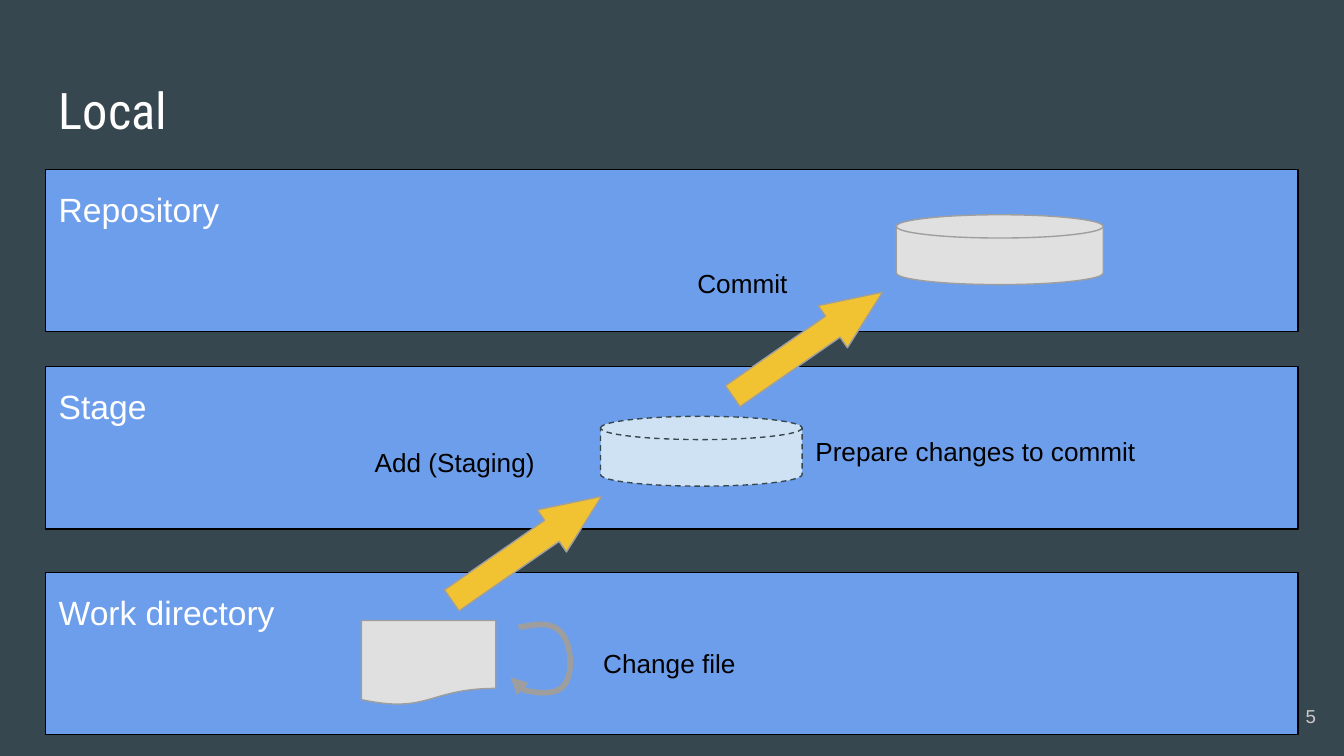
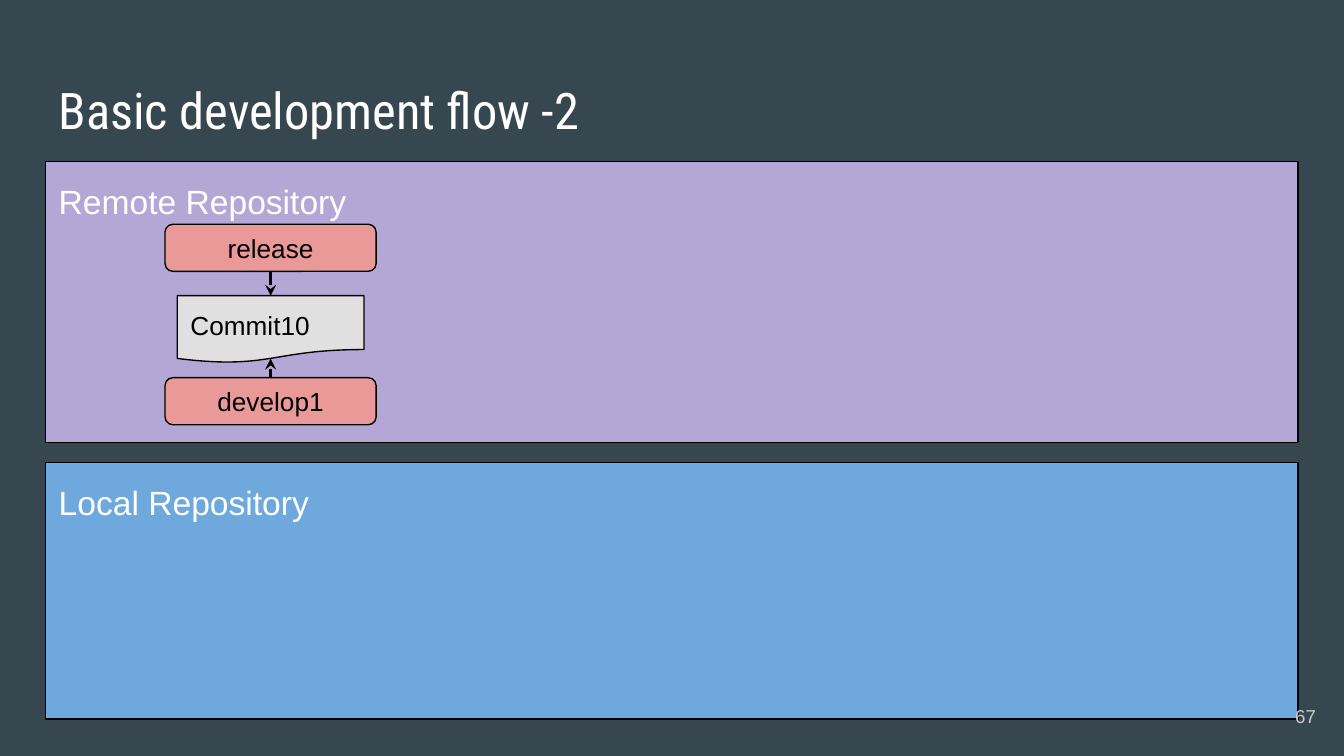
from lxml.etree import SubElement
from pptx import Presentation
from pptx.dml.color import RGBColor
from pptx.enum.dml import MSO_LINE
from pptx.enum.shapes import MSO_CONNECTOR as Link, MSO_SHAPE as Kind
from pptx.enum.text import MSO_ANCHOR as Anchor, MSO_AUTO_SIZE as Fit, PP_ALIGN as Align
from pptx.oxml.ns import qn
from pptx.util import Cm, Pt

SLATE = RGBColor(0x37, 0x47, 0x4F)
WHITE = RGBColor(0xFF, 0xFF, 0xFF)
BLACK = RGBColor(0x00, 0x00, 0x00)
BLUE = RGBColor(0x6D, 0x9E, 0xEB)
SKY = RGBColor(0x6F, 0xA8, 0xDC)
LILAC = RGBColor(0xB4, 0xA7, 0xD6)
PINK = RGBColor(0xEA, 0x99, 0x99)
GOLD = RGBColor(0xF1, 0xC2, 0x32)
ICE = RGBColor(0xCF, 0xE2, 0xF3)
PALE = RGBColor(0xE0, 0xE0, 0xE0)
GREY = RGBColor(0x9E, 0x9E, 0x9E)
SILVER = RGBColor(0xCA, 0xCA, 0xCA)

LEFT, WIDTH = 0.86, 23.67
TITLE = (LEFT, 1.24, WIDTH, 1.6)
PAGE = (23.6, 13, 1.52, 1.09)
EDGES = ("margin_left", "margin_top", "margin_right", "margin_bottom")
FRAME = {"word_wrap": True, **dict.fromkeys(EDGES, Cm(0.25))}
BODY = {"line_spacing": 1.15, "space_before": Pt(0), "space_after": Pt(12)}
LOOP = [(8.94, 1.04), (9.22, 0.99), (9.53, 0.91), (9.73, 1.12),
        (9.91, 1.3), (9.96, 1.7), (9.88, 1.98),
        (9.78, 2.34), (9.38, 2.29), (9.1, 2.24),
        (8.97, 2.24), (8.89, 1.98), (8.79, 1.98)]


def put(obj, vals):
    """Set each named value on an object."""
    for name, val in vals.items():
        setattr(obj, name, val)


def inner(box, x, y, w, h):
    """Return a box placed relative to another one."""
    return box[0] + x, box[1] + y, w, h


def place(shape, box):
    """Move a shape to a box given in centimetres."""
    put(shape, dict(zip(("left", "top", "width", "height"), map(Cm, box))))


def write(shape, text, size=14, color=BLACK, face="Arial", align=Align.LEFT,
          anchor=Anchor.TOP, fit=Fit.NONE):
    """Write one formatted paragraph and return it."""
    frame = shape.text_frame
    put(frame, {**FRAME, "vertical_anchor": anchor, "auto_size": fit})
    para = frame.paragraphs[0]
    para.alignment = align
    run = para.add_run()
    run.text = text
    put(run.font, {"size": Pt(size), "name": face, "bold": False})
    run.font.color.rgb = color
    return para


def stroke(shape, color, width=0.75):
    """Set the line of a shape."""
    shape.line.color.rgb = color
    shape.line.width = Pt(width)


def paint(shape, fill, line):
    """Set the fill and line of a shape."""
    shape.fill.solid()
    shape.fill.fore_color.rgb = fill
    stroke(shape, line)


def draw(slide, kind, box, fill, line=GREY):
    """Add a flat preset shape."""
    shape = slide.shapes.add_shape(kind, *map(Cm, box))
    shape.shadow.inherit = False
    paint(shape, fill, line)
    return shape


def tip(shape, kind):
    """Put an arrowhead at the end of a line."""
    line = shape.element.spPr.find(qn("a:ln"))
    SubElement(line, qn("a:tailEnd"), type=kind)


def label(slide, box, text, **style):
    """Add a text box."""
    write(slide.shapes.add_textbox(*map(Cm, box)), text, **style)


def band(hold, box, text, fill):
    """Turn a body placeholder into a titled band."""
    place(hold, box)
    paint(hold, fill, BLACK)
    para = write(hold, text, 18, WHITE)
    put(para, BODY)
    props = para._p.get_or_add_pPr()
    put_indent = {"marL": "0", "indent": "0"}
    for name, val in put_indent.items():
        props.set(name, val)
    SubElement(props, qn("a:buNone"))


def start(deck, layout, title, page, bands):
    """Add a slide with its title, bands and page number."""
    slide = deck.slides.add_slide(deck.slide_layouts.get_by_name(layout))
    head, *holds = slide.placeholders
    place(head, TITLE)
    write(head, title, 27, WHITE, "Roboto Condensed")
    for hold, spec_row in zip(holds, bands):
        band(hold, *spec_row)
    for hold in holds[len(bands):]:
        hold.element.getparent().remove(hold.element)
    label(slide, PAGE, page, size=10, color=SILVER, align=Align.RIGHT,
          anchor=Anchor.MIDDLE)
    return slide


def arrow(slide, box, x, y):
    """Add a slanted block arrow."""
    shape = draw(slide, Kind.RIGHT_ARROW, inner(box, x, y, 3.45, 0.97), GOLD)
    shape.rotation = 325.2
    shape.adjustments[0] = 0.5
    shape.adjustments[1] = 1.182


def curve(pts, steps=10):
    """Return points along a chain of cubic curves."""
    out = [pts[0]]
    for i in range(0, len(pts) - 1, 3):
        for n in range(1, steps + 1):
            t = n / steps
            rates = ((1 - t) ** 3, 3 * t * (1 - t) ** 2,
                     3 * t * t * (1 - t), t ** 3)
            out.append(tuple(sum(r * p[k] for r, p in zip(rates, pts[i:i + 4]))
                             for k in (0, 1)))
    return out


def loop(slide, box):
    """Add the curved arrow beside the file."""
    pts = [(Cm(box[0] + x), Cm(box[1] + y)) for x, y in curve(LOOP)]
    pen = slide.shapes.build_freeform(*pts[0])
    pen.add_line_segments(pts[1:], close=False)
    shape = pen.convert_to_shape()
    shape.shadow.inherit = False
    shape.fill.background()
    stroke(shape, GREY, 3)
    tip(shape, "triangle")


def note(slide, box, x, y, w, text):
    """Add a caption inside a band."""
    label(slide, inner(box, x, y, w, 1.12), text, fit=Fit.SHAPE_TO_FIT_TEXT)


def work(slide, box):
    """Fill the work directory band."""
    draw(slide, Kind.FLOWCHART_DOCUMENT, inner(box, 5.97, 0.91, 2.54, 1.6), PALE)
    loop(slide, box)
    note(slide, box, 10.29, 1.17, 3.45, "Change file")
    arrow(slide, box, 7.37, -0.94)


def stage(slide, box):
    """Fill the stage band."""
    note(slide, box, 5.97, 1.25, 4.32, "Add (Staging)")
    disk = draw(slide, Kind.FLOWCHART_MAGNETIC_DISK,
                inner(box, 10.49, 0.94, 3.81, 1.32), ICE, SLATE)
    disk.line.dash_style = MSO_LINE.DASH
    note(slide, box, 14.3, 1.05, 6.93, "Prepare changes to commit")
    arrow(slide, box, 12.68, -0.91)


def store(slide, box):
    """Fill the repository band."""
    draw(slide, Kind.FLOWCHART_MAGNETIC_DISK,
         inner(box, 16.08, 0.86, 3.91, 1.32), PALE)
    note(slide, box, 12.07, 1.6, 3.45, "Commit")


def branch(slide, box, y, text, ends):
    """Add a branch tag with its pointer to the commit."""
    spot = inner(box, 2.26, y, 3.99, 0.89)
    tag = draw(slide, Kind.ROUNDED_RECTANGLE, spot, PINK, BLACK)
    write(tag, text, align=Align.CENTER, anchor=Anchor.MIDDLE)
    mid = Cm(spot[0] + spot[2] / 2)
    top, end = (Cm(box[1] + v) for v in ends)
    link = slide.shapes.add_connector(Link.STRAIGHT, mid, top, mid, end)
    stroke(link, BLACK, 1.5)
    tip(link, "stealth")
    SubElement(link.element.spPr, qn("a:effectLst"))


def remote(slide, box):
    """Fill the remote repository band."""
    branch(slide, box, 1.19, "release", (2.08, 2.54))
    sheet = draw(slide, Kind.FLOWCHART_DOCUMENT,
                 inner(box, 2.49, 2.54, 3.53, 1.27), PALE, BLACK)
    write(sheet, "Commit10")
    branch(slide, box, 4.09, "develop1", (4.09, 3.73))


def local(deck):
    """Build the slide on local areas."""
    names = ("Repository", "Stage", "Work directory")
    boxes = [(LEFT, y, WIDTH, 3.07) for y in (3.2, 6.93, 10.82)]
    slide = start(deck, "Comparison", "Local", "5",
                  [(box, name, BLUE) for box, name in zip(boxes, names)])
    for part, box in zip((store, stage, work), boxes):
        part(slide, box)


def flow(deck):
    """Build the slide on the development flow."""
    far = (LEFT, 3.05, WIDTH, 5.31)
    near = (LEFT, 8.74, WIDTH, 4.85)
    slide = start(deck, "Two Content", "Basic development flow -2", "67",
                  [(far, "Remote Repository", LILAC),
                   (near, "Local Repository", SKY)])
    remote(slide, far)


def main():
    """Build and save the deck."""
    deck = Presentation()
    put(deck, {"slide_width": Cm(25.4), "slide_height": Cm(14.29)})
    back = deck.slide_master.background.fill
    back.solid()
    back.fore_color.rgb = SLATE
    local(deck)
    flow(deck)
    deck.save("out.pptx")


if __name__ == "__main__":
    main()
